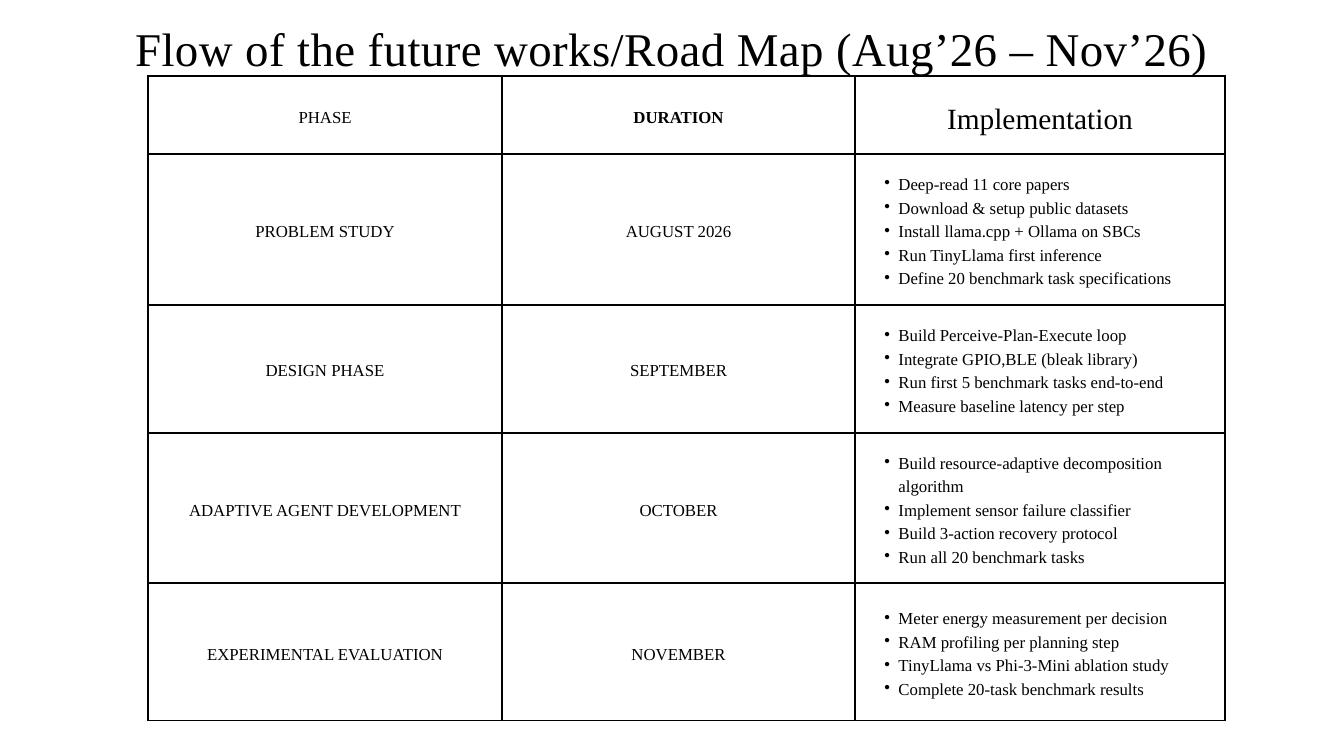
from lxml.etree import SubElement
from pptx import Presentation
from pptx.dml.color import RGBColor
from pptx.enum.text import MSO_ANCHOR as Anchor, MSO_AUTO_SIZE as AutoSize, PP_ALIGN as Align
from pptx.oxml import parse_xml
from pptx.oxml.ns import nsdecls, qn
from pptx.util import Pt

HEADING = "Flow of the future works/Road Map (Aug’26 – Nov’26)"
HEADERS = ("PHASE", "DURATION", "Implementation")
PHASES = [
    ("PROBLEM STUDY", "AUGUST 2026", [
        "Deep-read 11 core papers",
        "Download & setup public datasets",
        "Install llama.cpp + Ollama on SBCs",
        "Run TinyLlama first inference",
        "Define 20 benchmark task specifications",
    ]),
    ("DESIGN PHASE", "SEPTEMBER", [
        "Build Perceive-Plan-Execute loop",
        "Integrate GPIO,BLE (bleak library)",
        "Run first 5 benchmark tasks end-to-end",
        "Measure baseline latency per step",
    ]),
    ("ADAPTIVE AGENT DEVELOPMENT", "OCTOBER", [
        "Build resource-adaptive decomposition algorithm",
        "Implement sensor failure classifier",
        "Build 3-action recovery protocol",
        "Run all 20 benchmark tasks",
    ]),
    ("EXPERIMENTAL EVALUATION", "NOVEMBER", [
        "Meter energy measurement per decision",
        "RAM profiling per planning step",
        "TinyLlama vs Phi-3-Mini ablation study",
        "Complete 20-task benchmark results",
    ]),
]
FONT = "Times New Roman"
BLACK = "000000"
COLUMN_WIDTHS = (252.5, 252.5, 264)
ROW_HEIGHTS = (56, 107.5, 91.5, 107.5, 98)
LINE_RATIO = 1.4
BODY_SIZE = 12


def color(value):
    return RGBColor.from_string(value)


def style(paragraph, size, bold=False, bullet=False):
    paragraph.line_spacing = Pt(round(size * LINE_RATIO, 2))
    if bullet:
        paragraph.level = 1
        properties = paragraph._p.get_or_add_pPr()
        properties.set("marL", str(Pt(20)))
        properties.set("indent", str(-Pt(10)))
        SubElement(properties, qn("a:buChar")).set("char", "•")
    else:
        paragraph.alignment = Align.CENTER
    font = paragraph.font
    font.name, font.size, font.bold = FONT, Pt(size), bold
    font.color.rgb = color(BLACK)


def add_borders(cell):
    properties = cell._tc.get_or_add_tcPr()
    for index, side in enumerate("LRTB"):
        properties.insert(index, parse_xml(
            f'<a:ln{side} {nsdecls("a")} w="{Pt(1.5)}"><a:solidFill>'
            f'<a:srgbClr val="{BLACK}"/></a:solidFill></a:ln{side}>'))


def fill_cell(cell, content, size=BODY_SIZE, bold=False):
    cell.fill.background()
    add_borders(cell)
    cell.vertical_anchor = Anchor.MIDDLE
    cell.margin_left = cell.margin_right = cell.margin_top = cell.margin_bottom = Pt(10.8)
    bullet = isinstance(content, list)
    cell.text = "\n".join(content) if bullet else content
    for paragraph in cell.text_frame.paragraphs:
        style(paragraph, size, bold, bullet)


def add_heading(slide):
    heading = slide.shapes.title
    heading.left, heading.top, heading.width, heading.height = Pt(96.5), Pt(7), Pt(767), Pt(47)
    frame = heading.text_frame
    frame.text = HEADING
    frame.margin_left = frame.margin_right = frame.margin_top = frame.margin_bottom = 0
    frame.vertical_anchor = Anchor.TOP
    frame.word_wrap = False
    frame.auto_size = AutoSize.NONE
    line = frame.paragraphs[0]
    style(line, 33.5)
    line.runs[0]._r.get_or_add_rPr().set("spc", "30")


def add_roadmap(slide):
    roadmap = slide.shapes.add_table(
        len(PHASES) + 1, len(HEADERS), Pt(106), Pt(54.25),
        Pt(sum(COLUMN_WIDTHS)), Pt(sum(ROW_HEIGHTS))).table
    roadmap.first_row = roadmap.horz_banding = False
    for column, width in zip(roadmap.columns, COLUMN_WIDTHS):
        column.width = Pt(width)
    for row, height in zip(roadmap.rows, ROW_HEIGHTS):
        row.height = Pt(height)
    for column, header in enumerate(HEADERS):
        fill_cell(roadmap.cell(0, column), header,
                  21 if header == "Implementation" else BODY_SIZE, header == "DURATION")
    for row, phase in enumerate(PHASES, 1):
        for column, content in enumerate(phase):
            fill_cell(roadmap.cell(row, column), content)


def main():
    deck = Presentation()
    deck.slide_width, deck.slide_height = Pt(960), Pt(540)
    slide = deck.slides.add_slide(deck.slide_layouts[5])
    add_heading(slide)
    add_roadmap(slide)
    deck.save("out.pptx")


if __name__ == "__main__":
    main()
